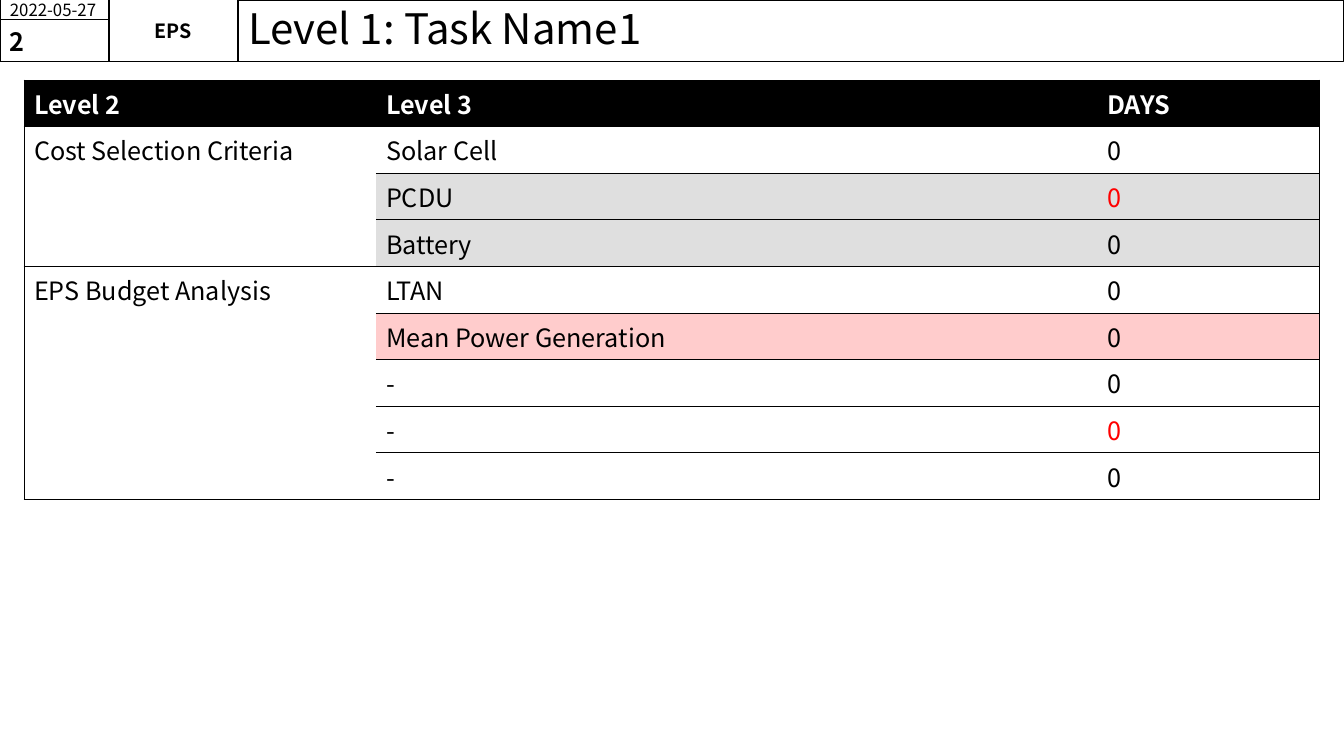
from pptx import Presentation
from pptx.dml.color import RGBColor
from pptx.enum.shapes import MSO_SHAPE
from pptx.enum.text import MSO_ANCHOR, PP_ALIGN
from pptx.oxml.ns import qn
from pptx.util import Emu, Pt
from lxml.etree import SubElement

SCALE = 914400 / 100.8
FONT = "Noto Sans CJK KR"
BLACK, WHITE, RED, GREY, PINK = "000000", "FFFFFF", "FF0000", "DFDFDF", "FFCCCC"
COLUMNS = [352, 721, 222]
ROW_HEIGHT = 46
HEADINGS = ["Level 2", "Level 3", "DAYS"]
TASKS = [
    ("Cost Selection Criteria", [
        ("Solar Cell", None, BLACK),
        ("PCDU", GREY, RED),
        ("Battery", GREY, BLACK),
    ]),
    ("EPS Budget Analysis", [
        ("LTAN", None, BLACK),
        ("Mean Power Generation", PINK, BLACK),
        ("-", None, BLACK),
        ("-", None, RED),
        ("-", None, BLACK),
    ]),
]


def px(length):
    return Emu(round(length * SCALE))


def color(value):
    return RGBColor.from_string(value)


def write(frame, text, size, bold=False, ink=BLACK, align=PP_ALIGN.LEFT):
    paragraph = frame.paragraphs[0]
    paragraph.alignment = align
    run = paragraph.add_run()
    run.text = text
    run.font.name = FONT
    run.font.size = Pt(size)
    run.font.bold = bold
    run.font.color.rgb = color(ink)
    return paragraph


def outline(shape):
    shape.fill.background()
    shape.line.color.rgb = color(BLACK)
    shape.line.width = Pt(0.75)
    shape.text_frame.vertical_anchor = MSO_ANCHOR.MIDDLE
    shape.text_frame.word_wrap = True


def add_title(slide, text, left, top, width, height):
    title = slide.shapes.title
    title.left, title.top = px(left), px(top)
    title.width, title.height = px(width), px(height)
    outline(title)
    write(title.text_frame, text, 30).line_spacing = 0.9


def add_header_box(slide, text, bounds, size, bold=False, centred=False):
    box = slide.shapes.add_shape(MSO_SHAPE.RECTANGLE, *map(px, bounds))
    box.shadow.inherit = False
    outline(box)
    frame = box.text_frame
    if centred:
        frame.margin_left = frame.margin_right = 0
        frame.margin_top = frame.margin_bottom = 0
    write(frame, text, size, bold, align=PP_ALIGN.CENTER if centred else PP_ALIGN.LEFT)


def set_borders(cell, edges):
    properties = cell._tc.get_or_add_tcPr()
    for edge in "LRTB":
        border = SubElement(properties, qn(f"a:ln{edge}"), w=str(Pt(0.5)))
        if edge in edges:
            ink = SubElement(border, qn("a:solidFill"))
            SubElement(ink, qn("a:srgbClr"), val=BLACK)
        else:
            SubElement(border, qn("a:noFill"))


def format_cell(cell, edges, fill=None):
    set_borders(cell, edges)
    if fill:
        cell.fill.solid()
        cell.fill.fore_color.rgb = color(fill)
    else:
        cell.fill.background()


def add_task_group(table, first, name, tasks):
    last = first + len(tasks) - 1
    for row, (task, fill, days_ink) in enumerate(tasks, first):
        group_edges = "L" + "T" * (row == first) + "B" * (row == last)
        format_cell(table.cell(row, 0), group_edges)
        format_cell(table.cell(row, 1), "TB", fill)
        format_cell(table.cell(row, 2), "TBR", fill)
        write(table.cell(row, 1).text_frame, task, 18)
        write(table.cell(row, 2).text_frame, "0", 18, ink=days_ink)
    group = table.cell(first, 0)
    group.merge(table.cell(last, 0))
    set_bottom = group._tc.tcPr.find(qn("a:lnB"))
    set_bottom.clear()
    set_bottom.set("w", str(Pt(0.5)))
    ink = SubElement(set_bottom, qn("a:solidFill"))
    SubElement(ink, qn("a:srgbClr"), val=BLACK)
    write(group.text_frame, name, 18)


def add_task_table(slide, left, top):
    rows = 1 + sum(len(tasks) for _, tasks in TASKS)
    table = slide.shapes.add_table(
        rows, len(COLUMNS), px(left), px(top), px(sum(COLUMNS)), px(rows * ROW_HEIGHT)
    ).table
    table.first_row = table.horz_banding = False
    for column, width in zip(table.columns, COLUMNS):
        column.width = px(width)
    for row in table.rows:
        row.height = px(ROW_HEIGHT)
    for column, (heading, edges) in enumerate(zip(HEADINGS, ["LTB", "TB", "TBR"])):
        cell = table.cell(0, column)
        format_cell(cell, edges, BLACK)
        write(cell.text_frame, heading, 18, True, WHITE)
    first = 1
    for name, tasks in TASKS:
        add_task_group(table, first, name, tasks)
        first += len(tasks)


def main():
    presentation = Presentation()
    presentation.slide_width, presentation.slide_height = px(1344), px(756)
    slide = presentation.slides.add_slide(presentation.slide_layouts[5])
    add_title(slide, "Level 1: Task Name1", 238, 0, 1106, 62)
    add_header_box(slide, "2022-05-27", (0, 0, 109, 20), 12)
    add_header_box(slide, "EPS", (109, 0, 129, 62), 14, bold=True, centred=True)
    add_header_box(slide, "2", (0, 20, 109, 42), 18, bold=True)
    add_task_table(slide, 24, 80)
    presentation.save("out.pptx")


if __name__ == "__main__":
    main()
